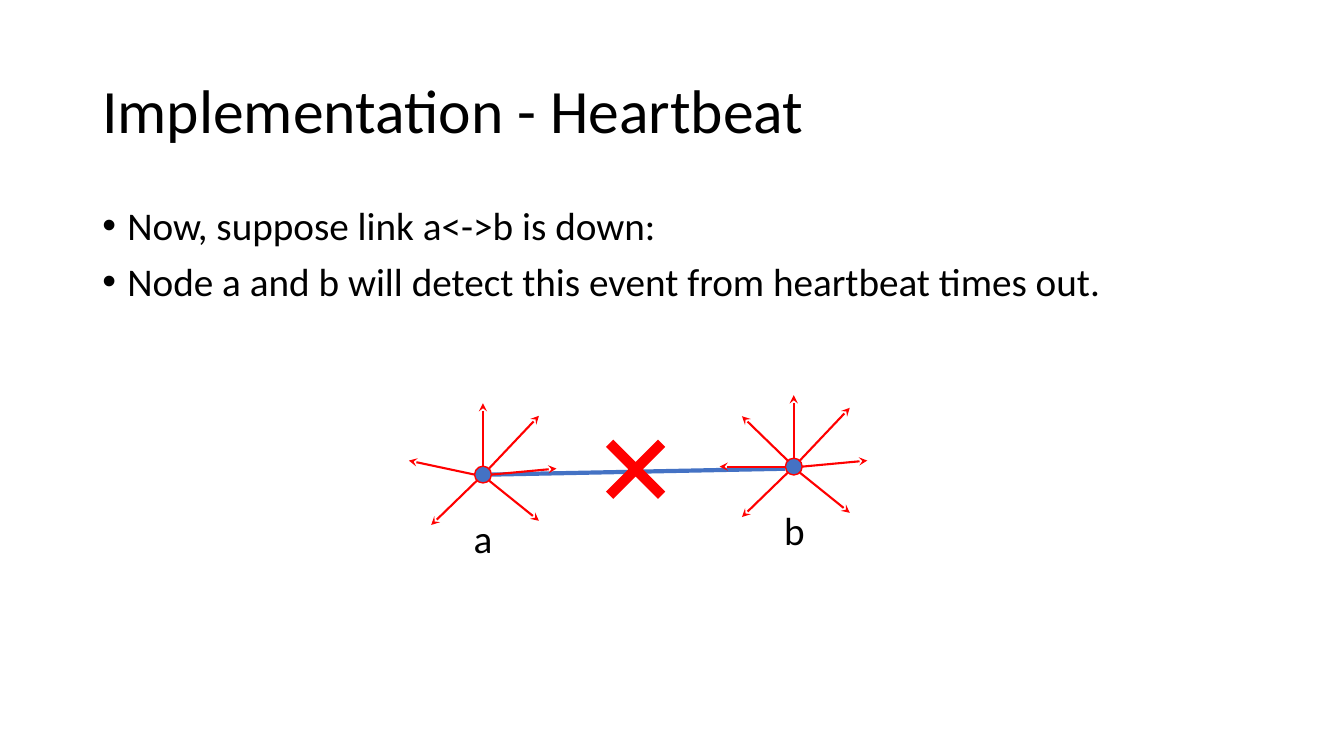
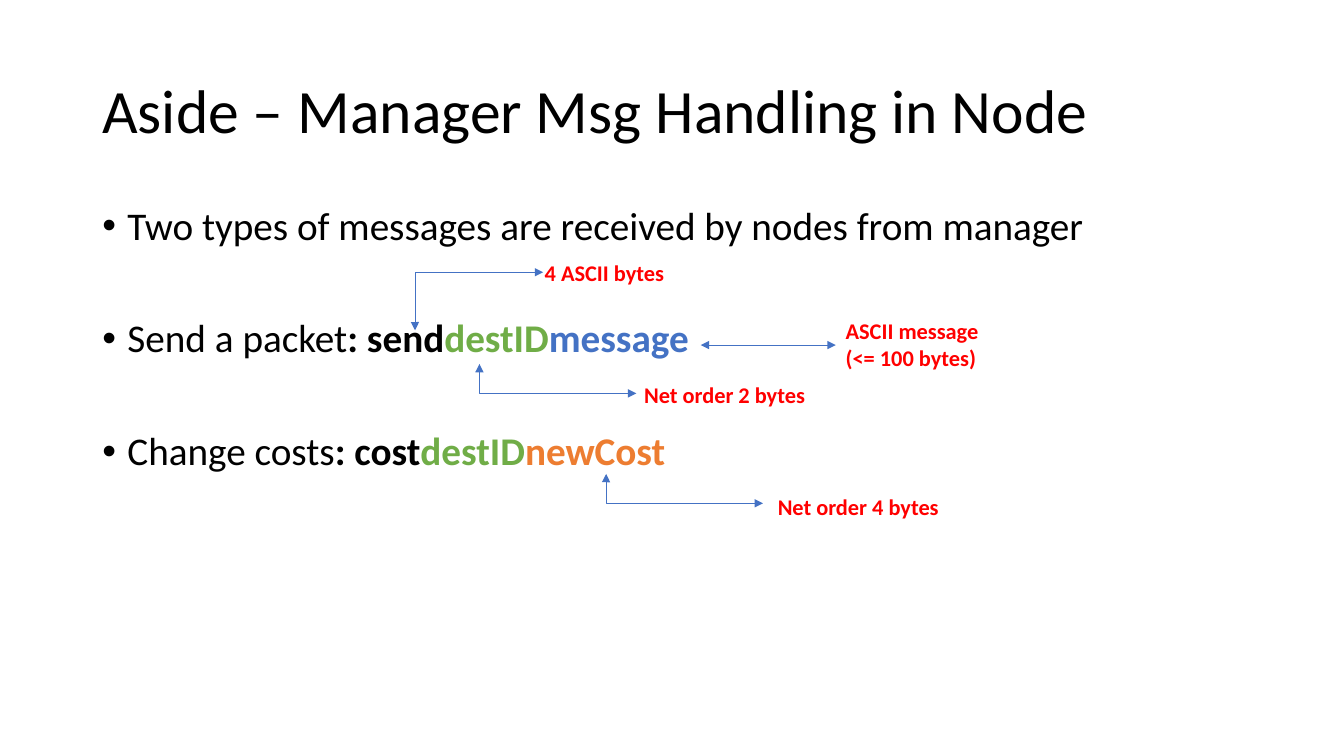
"""Builds two slides on heartbeat failure detection and manager messages."""
from math import atan2, cos, pi, sin

from pptx import Presentation
from pptx.dml.color import RGBColor
from pptx.enum.shapes import MSO_CONNECTOR, MSO_SHAPE
from pptx.enum.text import MSO_ANCHOR, PP_ALIGN
from pptx.oxml.ns import qn
from pptx.util import Pt
from lxml.etree import SubElement

BLACK = RGBColor(0x00, 0x00, 0x00)
RED = RGBColor(0xFF, 0x00, 0x00)
BLUE = RGBColor(0x44, 0x72, 0xC4)
GREEN = RGBColor(0x70, 0xAD, 0x47)
ORANGE = RGBColor(0xED, 0x7D, 0x31)

NODE_RADIUS = 6
SHARED_SPOKES = [(40, -42), (0, -51), (-37, 36), (40, 33), (52.5, -4.3)]


class Deck:
    font = "Calibri"
    left, width = 66, 828
    body_size = 28

    def __init__(self):
        self.prs = Presentation()
        self.prs.slide_width, self.prs.slide_height = Pt(960), Pt(540)
        self.s = None

    def slide(self, title):
        self.s = self.prs.slides.add_slide(self.prs.slide_layouts[6])
        tf = self.box(self.left, 28.75, self.width, 104.4)
        tf.vertical_anchor = MSO_ANCHOR.MIDDLE
        p = tf.paragraphs[0]
        p.text = title
        p.line_spacing = 0.9
        self.style(p.runs[0], 44)

    def box(self, x, y, w, h, wrap=True):
        tf = self.s.shapes.add_textbox(Pt(x), Pt(y), Pt(w), Pt(h)).text_frame
        tf.word_wrap = wrap
        return tf

    def style(self, r, size, color=BLACK, bold=False):
        r.font.name, r.font.size, r.font.bold = self.font, Pt(size), bold
        r.font.color.rgb = color

    def bullets(self, items, gap=10):
        tf = self.box(self.left, 143.75, self.width, 342.6)
        for i, parts in enumerate(items):
            p = tf.paragraphs[0] if i == 0 else tf.add_paragraph()
            p.line_spacing = 0.9
            p.space_before = Pt(gap if i else 10)
            pPr = p._p.get_or_add_pPr()
            pPr.set("marL", str(Pt(18)))
            pPr.set("indent", str(-Pt(18)))
            SubElement(pPr, qn("a:buFont"), typeface="Arial")
            SubElement(pPr, qn("a:buChar"), char="•")
            for text, color, bold in parts:
                r = p.add_run()
                r.text = text
                self.style(r, self.body_size, color, bold)

    def label(self, text, x, y, w, h, size=16, color=RED, bold=True, centered=False):
        tf = self.box(x, y, w, h, wrap=not centered)
        tf.text = text
        for p in tf.paragraphs:
            if centered:
                p.alignment = PP_ALIGN.CENTER
            self.style(p.runs[0], size, color, bold)

    def shape(self, kind, x, y, size, fill, line=None):
        sp = self.s.shapes.add_shape(kind, Pt(x - size / 2), Pt(y - size / 2), Pt(size), Pt(size))
        sp.shadow.inherit = False
        sp.fill.solid()
        sp.fill.fore_color.rgb = fill
        if line is None:
            sp.line.fill.background()
        else:
            sp.line.color.rgb, sp.line.width = line, Pt(1)
        return sp

    def line(self, start, end, color, width, head=None, tail=None, bent=False):
        kind = MSO_CONNECTOR.ELBOW if bent else MSO_CONNECTOR.STRAIGHT
        cxn = self.s.shapes.add_connector(kind, *(Pt(v) for v in (*start, *end)))
        cxn.line.color.rgb, cxn.line.width = color, Pt(width)
        spPr = cxn._element.spPr
        ln = cxn.line._get_or_add_ln()
        for tag, arrow in (("a:headEnd", head), ("a:tailEnd", tail)):
            if arrow:
                SubElement(ln, qn(tag), type=arrow)
        SubElement(spPr, qn("a:effectLst"))
        if bent:
            guides = spPr.find(qn("a:prstGeom")).get_or_add_avLst()
            SubElement(guides, qn("a:gd"), name="adj1", fmla="val -100")

    def node(self, name, x, y, spokes):
        self.shape(MSO_SHAPE.OVAL, x, y, 2 * NODE_RADIUS, BLUE, RED)
        self.label(name, x - 14, y + 24.5, 28, 41, self.body_size, BLACK, False, centered=True)
        for dx, dy in spokes:
            angle = round(atan2(dy, dx) / (pi / 4)) * pi / 4
            start = x + NODE_RADIUS * cos(angle), y + NODE_RADIUS * sin(angle)
            self.line(start, (x + dx, y + dy), RED, 1.5, tail="stealth")

    def pointer(self, start, end, bent=True):
        self.line(start, end, BLUE, 0.5, "triangle", "triangle", bent)


def heartbeat(deck):
    deck.slide("Implementation - Heartbeat")
    deck.bullets([
        [("Now, suppose link a<->b is down:", BLACK, False)],
        [("Node a and b will detect this event from heartbeat times out.", BLACK, False)],
    ])
    ax, ay, bx, by = 345, 339, 567, 333.3
    deck.line((ax + NODE_RADIUS, ay), (bx - NODE_RADIUS, by + 1.5), BLUE, 3)
    deck.node("a", ax, ay, SHARED_SPOKES + [(-53, -10)])
    deck.node("b", bx, by, SHARED_SPOKES + [(-53, 0), (-37, -36)])
    cross = deck.shape(MSO_SHAPE.CROSS, 454, 335.2, 52.5, RED)
    cross.adjustments[0] = 0.43
    cross.rotation = 45


def manager_messages(deck):
    deck.slide("Aside – Manager Msg Handling in Node")
    deck.bullets([
        [("Two types of messages are received by nodes from manager", BLACK, False)],
        [("Send a packet", BLACK, False), (": send", BLACK, True),
         ("destID", GREEN, True), ("message", BLUE, True)],
        [("Change costs", BLACK, False), (": cost", BLACK, True),
         ("destID", GREEN, True), ("newCost", ORANGE, True)],
    ], gap=50.4)
    for text, x, y, w, h in [
        ("4 ASCII bytes", 382, 181.5, 110, 26.6),
        ("Net order 2 bytes", 453, 268.5, 138, 26.6),
        ("ASCII message\n(<= 100 bytes)", 597, 223, 155.5, 46),
        ("Net order 4 bytes", 548.5, 348.5, 155.5, 26.6),
    ]:
        deck.label(text, x, y, w, h)
    deck.pointer((296.5, 236), (388, 194.5))
    for x, y in [(342.5, 260), (433, 338.5)]:
        deck.pointer((x, y), (x + 112, y + 21))
    deck.pointer((500.5, 246.5), (597, 246.5), bent=False)


def main():
    deck = Deck()
    heartbeat(deck)
    manager_messages(deck)
    deck.prs.save("out.pptx")


if __name__ == "__main__":
    main()
